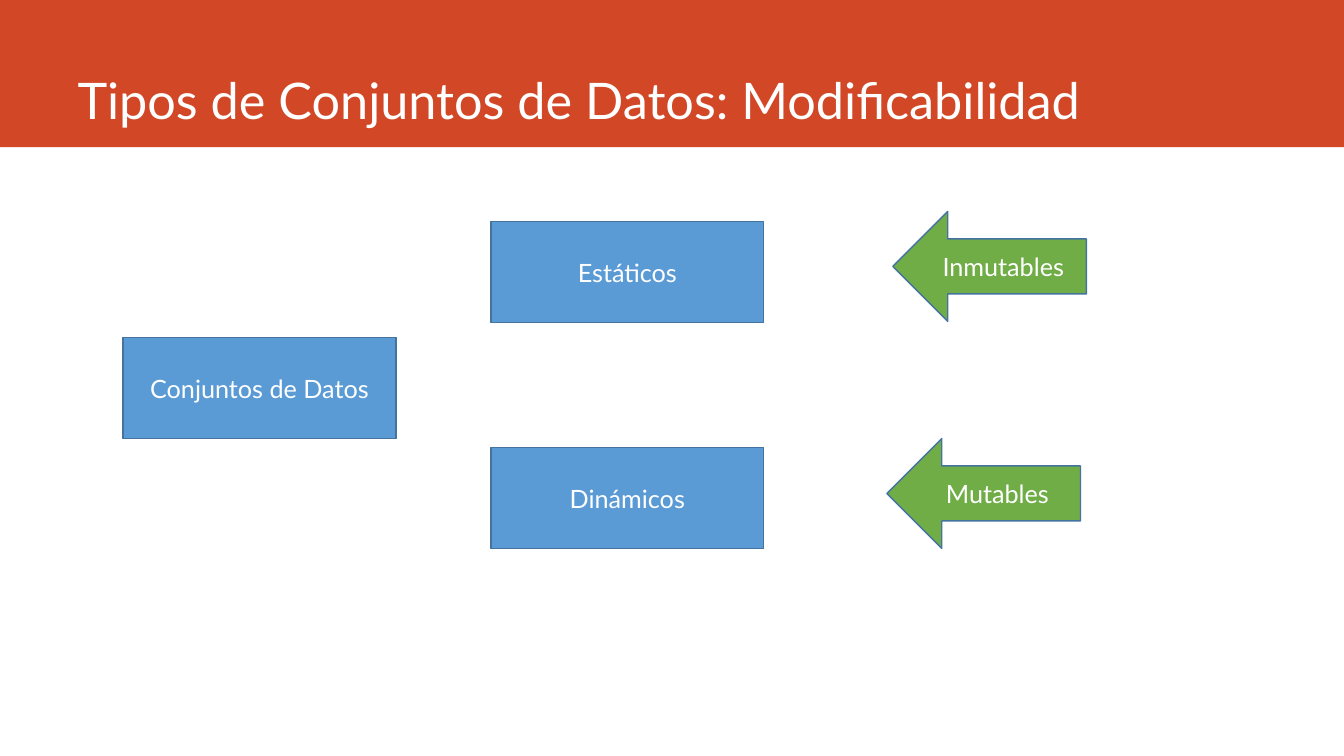
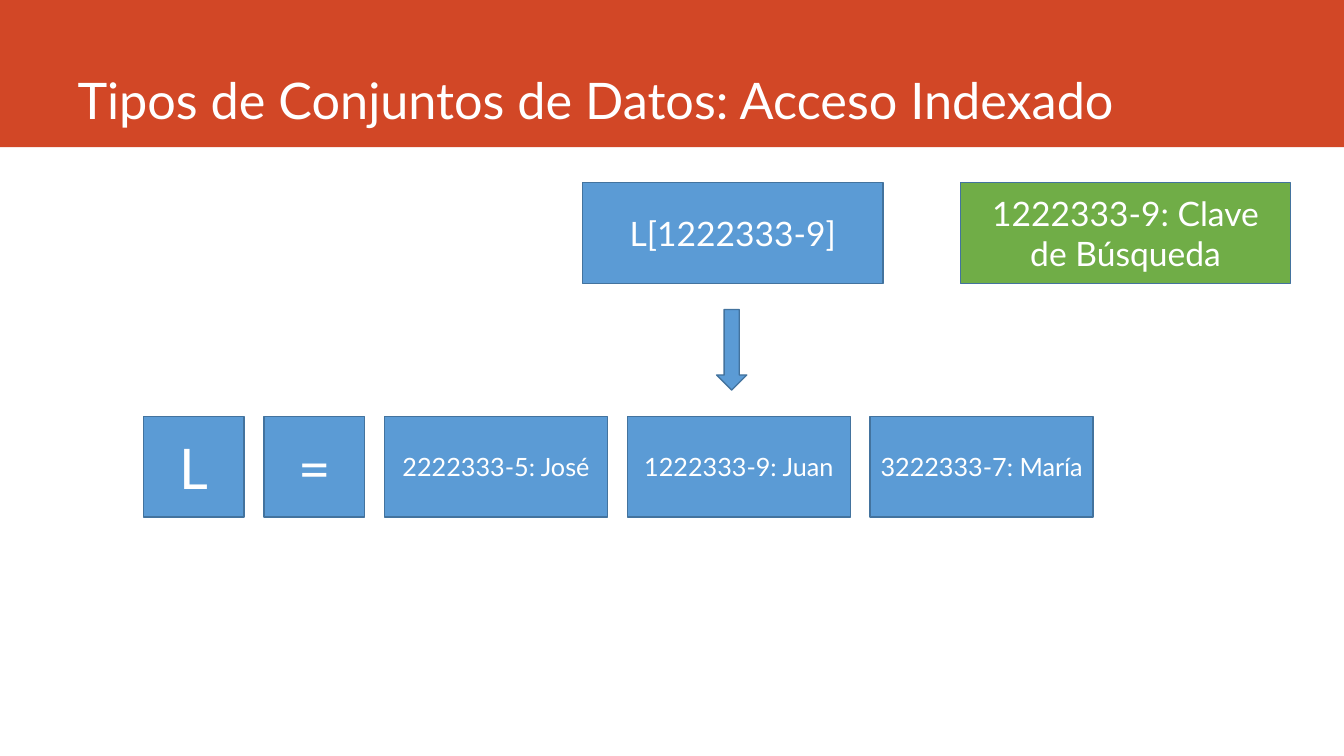
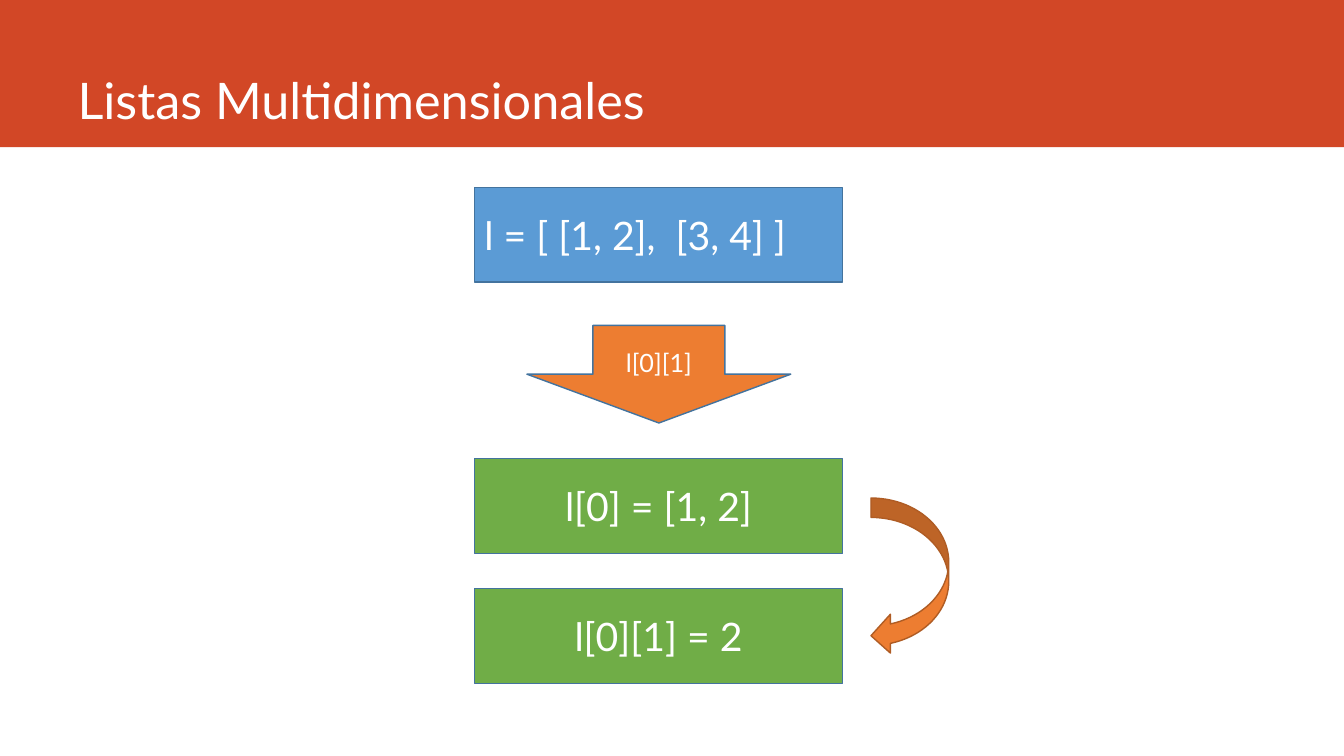
"""Three slides on Python collections: mutability, indexed access, nested lists."""
from dataclasses import dataclass, field
from typing import Any, NamedTuple

import pptx
import pptx.dml.color
import pptx.enum.shapes
import pptx.enum.text
import pptx.presentation
import pptx.slide
import pptx.text.text
import pptx.util

Cm = pptx.util.Cm
Pt = pptx.util.Pt
RGB = pptx.dml.color.RGBColor
Geometry = pptx.enum.shapes.MSO_SHAPE
Align = pptx.enum.text.PP_ALIGN
Anchor = pptx.enum.text.MSO_ANCHOR


@dataclass(frozen=True)
class Theme:
    """Colours, font and type sizes shared by all slides."""
    font: str = "Lato"
    band: RGB = field(default=RGB.from_string("D24726"))
    white: RGB = field(default=RGB.from_string("FFFFFF"))
    blue: RGB = field(default=RGB.from_string("5B9BD5"))
    green: RGB = field(default=RGB.from_string("70AD47"))
    orange: RGB = field(default=RGB.from_string("ED7D31"))
    outline: RGB = field(default=RGB.from_string("43739E"))
    orange_outline: RGB = field(default=RGB.from_string("AF5C24"))
    title_size: int = 36
    label_size: int = 18
    key_size: int = 24
    code_size: int = 28
    symbol_size: int = 40


THEME = Theme()
SLIDE_WIDTH, SLIDE_HEIGHT = 33.87, 19.05
BAND_HEIGHT = 3.71


class Box(NamedTuple):
    """Place and size in centimetres."""
    left: float
    top: float
    width: float
    height: float


@dataclass(frozen=True)
class Node:
    """A filled shape with an optional label."""
    box: Box
    text: str = ""
    fill: RGB = THEME.blue
    size: int = THEME.label_size
    geometry: Geometry = Geometry.RECTANGLE
    outline: RGB = THEME.outline
    align: Align = Align.CENTER


def apply_format(target: Any, values: dict[str, Any]) -> None:
    """Set each named attribute of the target."""
    for name, value in values.items():
        setattr(target, name, value)


def placement(box: Box) -> dict[str, pptx.util.Length]:
    """Return the box as shape attributes."""
    return {name: Cm(value) for name, value in box._asdict().items()}


def write_text(frame: pptx.text.text.TextFrame, text: str, size: int,
               align: Align, anchor: Anchor) -> None:
    """Write one white paragraph into the frame."""
    apply_format(frame, {"text": text, "word_wrap": True, "vertical_anchor": anchor,
                         "auto_size": pptx.enum.text.MSO_AUTO_SIZE.NONE})
    paragraph = frame.paragraphs[0]
    paragraph.alignment = align
    font = paragraph.runs[0].font
    apply_format(font, {"name": THEME.font, "size": Pt(size)})
    font.color.rgb = THEME.white


def draw_node(slide: pptx.slide.Slide, node: Node) -> None:
    """Draw one outlined shape and its label."""
    shape = slide.shapes.add_shape(node.geometry, *placement(node.box).values())
    shape.shadow.inherit = False
    shape.fill.solid()
    shape.fill.fore_color.rgb = node.fill
    shape.line.color.rgb = node.outline
    shape.line.width = Pt(1)
    if node.text:
        write_text(shape.text_frame, node.text, node.size, node.align, Anchor.MIDDLE)


def add_layout_band(slide: pptx.slide.Slide) -> None:
    """Place the title band at the back of the layout the slide uses."""
    band = slide.shapes.add_shape(
        Geometry.RECTANGLE, *placement(Box(0, 0, SLIDE_WIDTH, BAND_HEIGHT)).values())
    band.shadow.inherit = False
    band.fill.solid()
    band.fill.fore_color.rgb = THEME.band
    band.line.fill.background()
    slide.slide_layout.shapes.element.insert(2, band.element)


def add_titled_slide(deck: pptx.presentation.Presentation, title: str,
                     nodes: list[Node]) -> pptx.slide.Slide:
    """Add a title-only slide and draw its nodes."""
    slide = deck.slides.add_slide(deck.slide_layouts.get_by_name("Title Only"))
    heading = slide.shapes.title
    apply_format(heading, placement(Box(1.7, 0, 29.85, 3.4)))
    write_text(heading.text_frame, title, THEME.title_size, Align.LEFT, Anchor.BOTTOM)
    for node in nodes:
        draw_node(slide, node)
    return slide


def mutability_nodes() -> list[Node]:
    """Return the collection tree with its mutability arrows."""
    width, height = 6.88, 2.54
    nodes = [Node(Box(3.1, 8.51, width, height), "Conjuntos de Datos")]
    for kind, kind_top, trait, trait_left, trait_top in (
            ("Estáticos", 5.59, "Inmutables", 22.5, 5.33),
            ("Dinámicos", 11.28, "Mutables", 22.35, 11.05)):
        nodes += [
            Node(Box(12.37, kind_top, width, height), kind),
            Node(Box(trait_left, trait_top, 4.88, 2.77), trait, THEME.green,
                 geometry=Geometry.LEFT_ARROW),
        ]
    return nodes


def indexed_access_nodes() -> list[Node]:
    """Return the search key above the row of list entries."""
    height, gap = 2.54, 0.5
    key_top = 4.6
    nodes = [
        Node(Box(14.68, key_top, 7.57, height), "L[1222333-9]", size=THEME.key_size),
        Node(Box(24.21, key_top, 8.31, height), "1222333-9: Clave de Búsqueda",
             THEME.green, THEME.key_size),
        Node(Box(18.06, 7.8, 0.76, 2.03), geometry=Geometry.DOWN_ARROW),
    ]
    left = 3.61
    for text, width, size in (
            ("L", height, THEME.symbol_size),
            ("=", height, THEME.symbol_size),
            ("2222333-5: José", 5.62, THEME.label_size),
            ("1222333-9: Juan", 5.62, THEME.label_size),
            ("3222333-7: María", 5.62, THEME.label_size)):
        nodes.append(Node(Box(left, 10.49, width, height), text, size=size))
        left += width + gap
    return nodes


def nested_list_nodes() -> list[Node]:
    """Return the nested list and the two steps of its lookup."""
    steps = [
        Node(Box(11.96, top, 9.27, 2.39), text, fill, THEME.code_size, align=align)
        for top, text, fill, align in (
            (4.72, "l = [ [1, 2],  [3, 4] ]", THEME.blue, Align.LEFT),
            (11.56, "l[0] = [1, 2]", THEME.green, Align.CENTER),
            (14.83, "l[0][1] = 2", THEME.green, Align.CENTER))
    ]
    return steps + [
        Node(Box(13.28, 8.2, 6.65, 2.46), "l[0][1]", THEME.orange,
             geometry=Geometry.DOWN_ARROW),
        Node(Box(21.95, 12.55, 1.96, 3.96), fill=THEME.orange,
             geometry=Geometry.CURVED_LEFT_ARROW, outline=THEME.orange_outline),
    ]


def main() -> None:
    """Build and save the deck."""
    deck = pptx.Presentation()
    apply_format(deck, {"slide_width": Cm(SLIDE_WIDTH), "slide_height": Cm(SLIDE_HEIGHT)})
    slides = [add_titled_slide(deck, title, nodes) for title, nodes in (
        ("Tipos de Conjuntos de Datos: Modificabilidad", mutability_nodes()),
        ("Tipos de Conjuntos de Datos: Acceso Indexado", indexed_access_nodes()),
        ("Listas Multidimensionales", nested_list_nodes()))]
    add_layout_band(slides[0])
    deck.save("out.pptx")


main()
